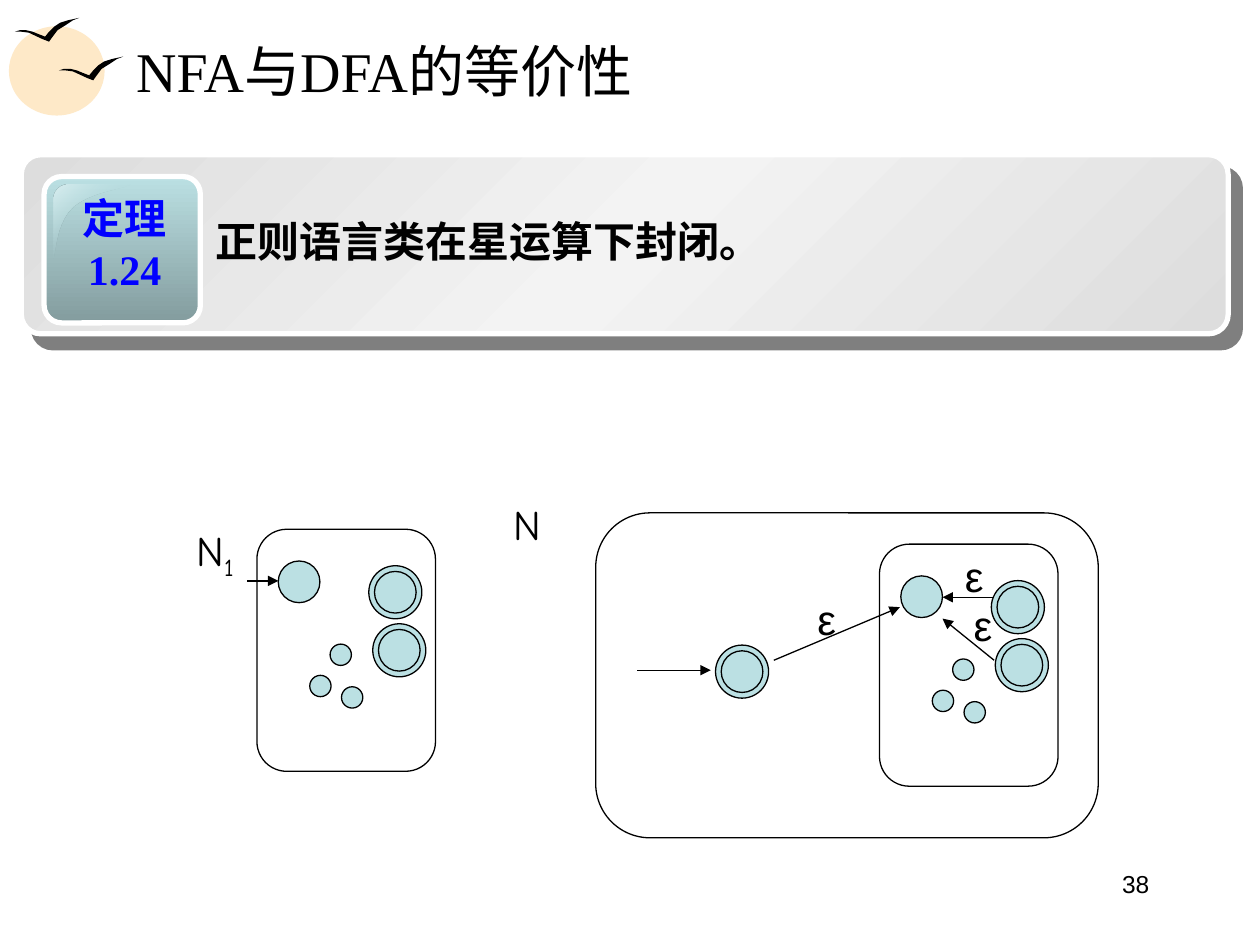
from dataclasses import dataclass

from pptx import Presentation
from pptx.dml.color import RGBColor
from pptx.enum.shapes import MSO_CONNECTOR, MSO_SHAPE
from pptx.enum.text import MSO_ANCHOR, PP_ALIGN
from pptx.oxml import parse_xml
from pptx.oxml.ns import nsdecls, qn
from pptx.util import Cm, Pt


@dataclass(frozen=True)
class Theme:
    ink: str = "000000"
    accent: str = "0000FF"
    state: str = "BBE0E3"
    state_dark: str = "839C9E"
    state_light: str = "DAEEF0"
    sun: str = "FEE9C8"
    panel_edge: str = "DDDDDD"
    panel_center: str = "F3F3F3"
    white: str = "FFFFFF"
    title_size: int = 32
    body_size: int = 24
    number_size: int = 14
    thin: float = 0.75
    thick: float = 3
    serif: str = "Times New Roman"
    sans: str = "Arial"
    label: str = "Comic Neue"


THEME = Theme()

BIRD = [(0, 0.28), (0.1, 0.25), (0.23, 0.25), (0.36, 0.28), (0.48, 0.33),
        (0.61, 0.38), (0.69, 0.28), (0.79, 0.18), (0.91, 0.1), (1.07, 0.05),
        (1.3, 0), (1.17, 0.05), (1.02, 0.15), (0.86, 0.25), (0.74, 0.41),
        (0.69, 0.48), (0.56, 0.43), (0.41, 0.36), (0.28, 0.3), (0.13, 0.28)]

STATE_SIZE, SMALL_SIZE, ACCEPT_SIZE = 0.84, 0.43, 1.07
START = (0.85, 1.06)
SMALL_STATES = [(1.69, 2.53), (1.28, 3.16), (1.92, 3.39)]
ACCEPT_STATES = [(2.79, 1.27), (2.87, 2.44)]


def style(shape, fill=None, line=None, width=THEME.thin):
    shape.shadow.inherit = False
    if fill:
        shape.fill.solid()
        shape.fill.fore_color.rgb = RGBColor.from_string(fill)
    else:
        shape.fill.background()
    if line:
        shape.line.color.rgb = RGBColor.from_string(line)
        shape.line.width = Pt(width)
    else:
        shape.line.fill.background()


def set_gradient(shape, stops, angle):
    entries = "".join(
        f'<a:gs pos="{position * 1000}"><a:srgbClr val="{color}">'
        f'<a:alpha val="{opacity * 1000}"/></a:srgbClr></a:gs>'
        for position, color, opacity in stops)
    gradient = parse_xml(
        f'<a:gradFill {nsdecls("a")} rotWithShape="1"><a:gsLst>{entries}</a:gsLst>'
        f'<a:lin ang="{angle * 60000}" scaled="0"/></a:gradFill>')
    properties = shape._element.spPr
    properties.replace(properties.find(qn("a:noFill")), gradient)


def add_hard_shadow(shape):
    effects = shape._element.spPr.find(qn("a:effectLst"))
    effects.append(parse_xml(
        f'<a:outerShdw {nsdecls("a")} dist="{Pt(10.6)}" dir="{49 * 60000}" algn="ctr" '
        f'rotWithShape="0"><a:srgbClr val="{THEME.ink}"><a:alpha val="50000"/>'
        '</a:srgbClr></a:outerShdw>'))


def add_rounded(slide, left, top, width, height, corner, line=THEME.ink, weight=THEME.thin):
    shape = slide.shapes.add_shape(
        MSO_SHAPE.ROUNDED_RECTANGLE, Cm(left), Cm(top), Cm(width), Cm(height))
    shape.adjustments[0] = corner
    style(shape, line=line, width=weight)
    return shape


def add_outline(slide, points):
    lengths = [(Cm(x), Cm(y)) for x, y in points]
    builder = slide.shapes.build_freeform(*lengths[0])
    builder.add_line_segments(lengths[1:], close=True)
    return builder.convert_to_shape()


def curve(start, first, second, end, steps=10):
    for step in range(1, steps + 1):
        t = step / steps
        weights = ((1 - t) ** 3, 3 * t * (1 - t) ** 2, 3 * t ** 2 * (1 - t), t ** 3)
        yield tuple(sum(weight * point[axis] for weight, point
                        in zip(weights, (start, first, second, end))) for axis in (0, 1))


def add_circle(slide, center, size):
    x, y = center
    circle = slide.shapes.add_shape(
        MSO_SHAPE.OVAL, Cm(x - size / 2), Cm(y - size / 2), Cm(size), Cm(size))
    style(circle, THEME.state, THEME.ink)


def add_accept_state(slide, center):
    for size in (ACCEPT_SIZE, STATE_SIZE):
        add_circle(slide, center, size)


def add_arrow(slide, start, end):
    arrow = slide.shapes.add_connector(
        MSO_CONNECTOR.STRAIGHT, *(Cm(value) for value in start + end))
    arrow.line.color.rgb = RGBColor.from_string(THEME.ink)
    arrow.line.width = Pt(THEME.thin)
    arrow.line._get_or_add_ln().append(
        parse_xml(f'<a:tailEnd {nsdecls("a")} type="triangle"/>'))
    arrow._element.spPr.append(parse_xml(f'<a:effectLst {nsdecls("a")}/>'))


def add_run(paragraph, text, font=THEME.sans, size=THEME.body_size, color=THEME.ink,
            bold=False, baseline=None):
    run = paragraph.add_run()
    run.text = text
    run.font.name = font
    run.font.size = Pt(size)
    run.font.bold = bold
    run.font.color.rgb = RGBColor.from_string(color)
    if baseline:
        run._r.get_or_add_rPr().set("baseline", str(baseline * 1000))


def add_text_box(slide, left, top, width, height, align=PP_ALIGN.LEFT):
    box = slide.shapes.add_textbox(Cm(left), Cm(top), Cm(width), Cm(height))
    box.text_frame.word_wrap = True
    paragraph = box.text_frame.paragraphs[0]
    paragraph.alignment = align
    return box.text_frame, paragraph


def add_decoration(slide):
    sun = slide.shapes.add_shape(MSO_SHAPE.OVAL, Cm(0.18), Cm(0.53), Cm(1.93), Cm(1.8))
    style(sun, THEME.sun)
    for left, top in ((1.19, 1.14), (0.3, 0.36)):
        style(add_outline(slide, [(left + x, top + y) for x, y in BIRD]), THEME.ink)


def add_title(slide, text):
    title = slide.shapes.title
    title.left, title.top, title.width, title.height = Cm(2.49), Cm(0.53), Cm(21.67), Cm(1.75)
    title.text_frame.vertical_anchor = MSO_ANCHOR.MIDDLE
    paragraph = title.text_frame.paragraphs[0]
    paragraph.alignment = PP_ALIGN.LEFT
    add_run(paragraph, text, THEME.serif, THEME.title_size)


def add_theorem(slide):
    panel = add_rounded(slide, 0.43, 3.12, 24.33, 3.61, 0.109, THEME.white, THEME.thick)
    set_gradient(panel, [(0, THEME.panel_edge, 100), (50, THEME.panel_center, 100),
                         (100, THEME.panel_edge, 100)], 45)
    add_hard_shadow(panel)
    badge = add_rounded(slide, 0.89, 3.56, 3.15, 2.95, 0.119, THEME.white, THEME.thick)
    set_gradient(badge, [(0, THEME.state, 100), (100, THEME.state_dark, 100)], 90)

    gloss = add_outline(slide, [
        (1.4, 3.73), *curve((1.4, 3.73), (1.22, 3.73), (1.09, 3.86), (1.09, 4.04)),
        (1.09, 5.21), *curve((1.09, 5.21), (1.14, 5.21), (1.12, 4.5), (1.5, 4.17)),
        *curve((1.5, 4.17), (1.91, 3.84), (2.64, 3.81), (2.62, 3.73))])
    style(gloss)
    set_gradient(gloss, [(0, THEME.state_light, 100), (50, THEME.state, 0),
                         (100, THEME.state_light, 100)], 45)

    frame, paragraph = add_text_box(slide, 1.32, 3.76, 2.39, 2.29, PP_ALIGN.CENTER)
    add_run(paragraph, "定理", THEME.serif, color=THEME.accent, bold=True)
    number = frame.add_paragraph()
    number.alignment = PP_ALIGN.CENTER
    add_run(number, "1.24", THEME.serif, color=THEME.accent, bold=True)

    _, statement = add_text_box(slide, 4.09, 4.11, 20.32, 1.37)
    statement.line_spacing = 1.1
    add_run(statement, "正则语言类在星运算下封闭", bold=True)
    add_run(statement, "。", THEME.serif, bold=True)


def add_automaton(slide, left, top):
    add_rounded(slide, left, top, 3.6, 4.88, 0.167)
    add_circle(slide, (left + START[0], top + START[1]), STATE_SIZE)
    for x, y in SMALL_STATES:
        add_circle(slide, (left + x, top + y), SMALL_SIZE)
    for x, y in ACCEPT_STATES:
        add_accept_state(slide, (left + x, top + y))


def main():
    presentation = Presentation()
    presentation.slide_width, presentation.slide_height = Cm(25.4), Cm(19.05)
    slide = presentation.slides.add_slide(presentation.slide_layouts[5])
    add_decoration(slide)
    add_title(slide, "NFA与DFA的等价性")
    add_theorem(slide)

    add_rounded(slide, 12.01, 10.34, 10.13, 6.55, 0.167)
    add_automaton(slide, 5.18, 10.67)
    add_automaton(slide, 17.73, 10.97)
    add_accept_state(slide, (14.96, 13.54))
    for start, end in (((4.98, 11.71), (5.61, 11.71)), ((12.85, 13.51), (14.33, 13.51)),
                       ((15.6, 13.31), (18.14, 12.24)), ((20.04, 12.04), (19, 12.04)),
                       ((20.04, 13.31), (19, 12.47))):
        add_arrow(slide, start, end)

    _, outer_name = add_text_box(slide, 10.11, 9.93, 1.47, 1.27)
    add_run(outer_name, "N", THEME.label)
    _, inner_name = add_text_box(slide, 3.71, 10.44, 1.47, 1.42)
    add_run(inner_name, "N", THEME.label)
    add_run(inner_name, "1", THEME.label, baseline=-25)
    for left, top in ((19.2, 10.97), (19.38, 11.96), (16.23, 11.84)):
        _, epsilon = add_text_box(slide, left, top, 0.89, 1.27)
        add_run(epsilon, "ε")

    _, page_number = add_text_box(slide, 17.5, 17.4, 5.92, 1.32, PP_ALIGN.RIGHT)
    add_run(page_number, "38", size=THEME.number_size)
    presentation.save("out.pptx")


if __name__ == "__main__":
    main()
